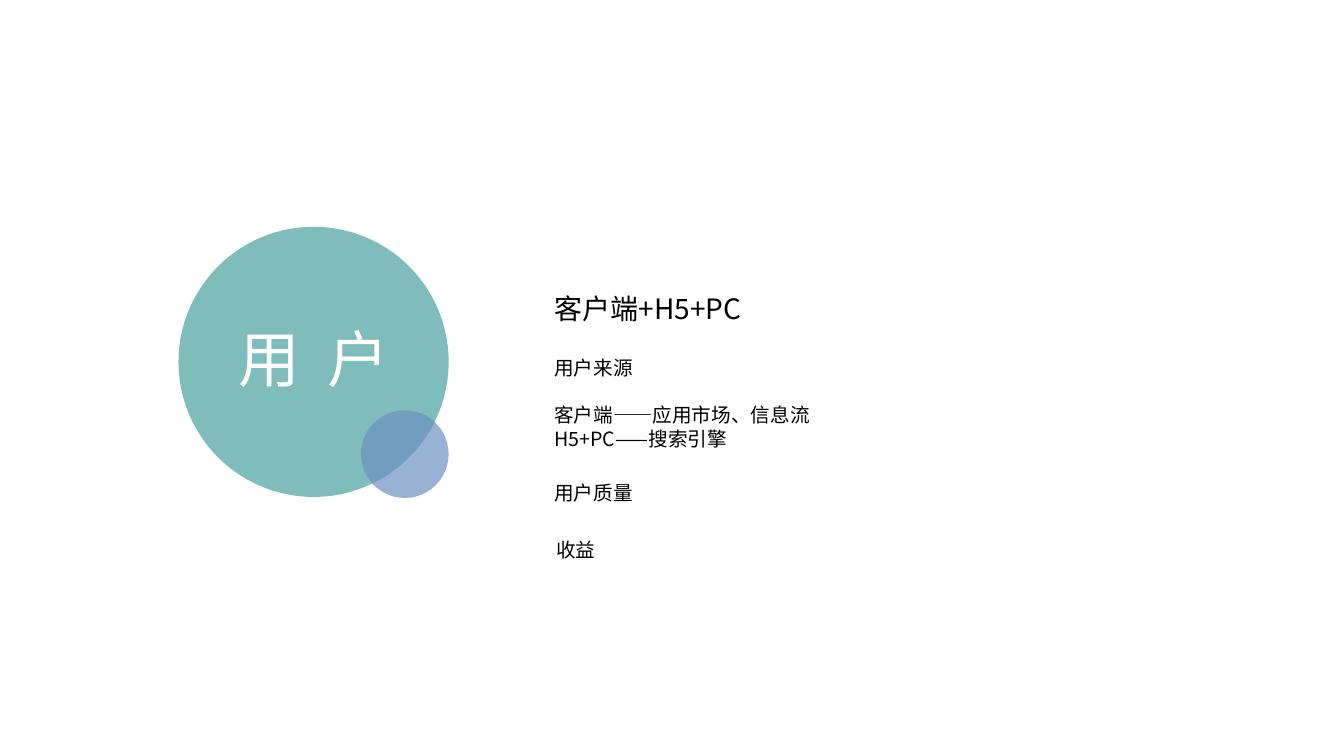
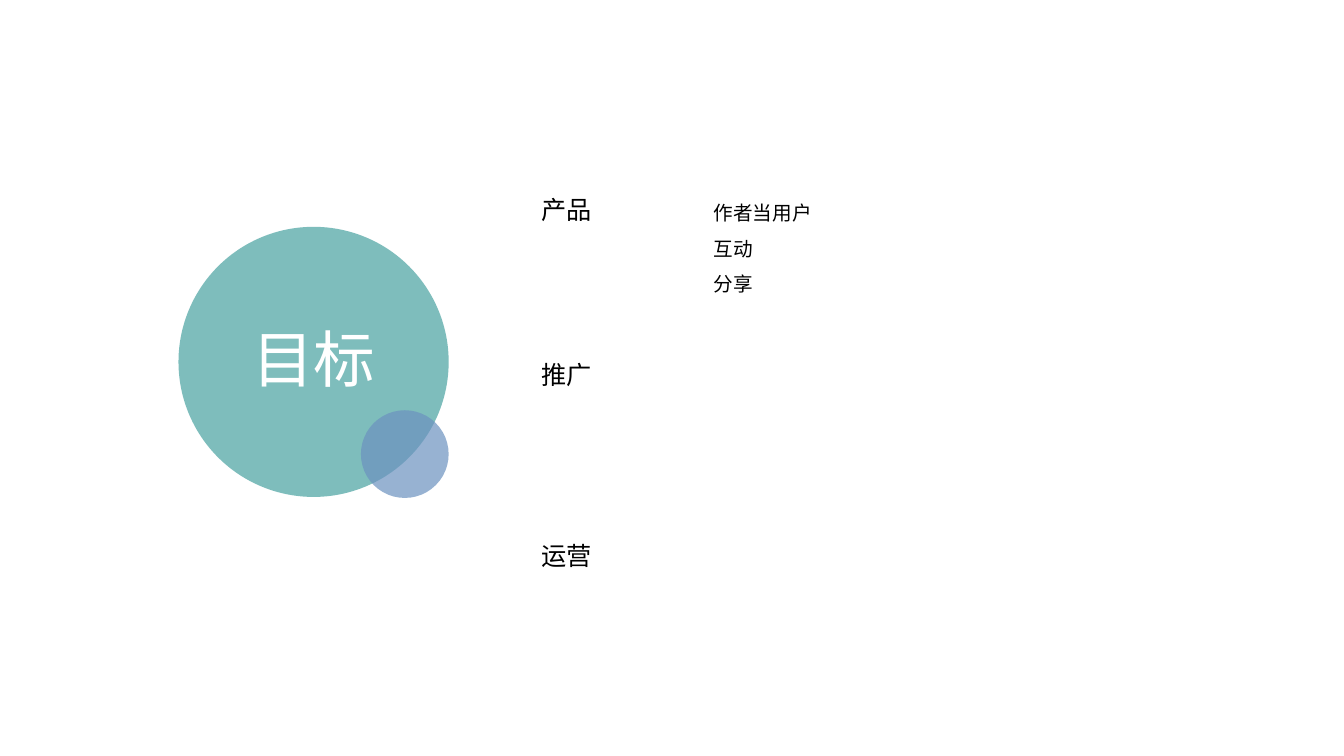
from lxml.etree import SubElement
from pptx import Presentation
from pptx.dml.color import RGBColor
from pptx.enum.shapes import MSO_SHAPE as Shape
from pptx.enum.text import MSO_ANCHOR as Anchor, MSO_AUTO_SIZE as AutoSize, PP_ALIGN as Align
from pptx.oxml.ns import qn
from pptx.util import Inches, Pt


def color(value):
    return RGBColor.from_string(value)


class TopicDeck:
    FONT = "Noto Sans CJK SC"
    TEAL, BLUE, WHITE, BLACK = "48A2A0", "6C92C0", "FFFFFF", "000000"
    OPACITY = 70
    TITLE_SIZE, BODY_SIZE = 44, 14

    def __init__(self):
        self.deck = Presentation()
        self.deck.slide_width = Inches(13.33)
        self.deck.slide_height = Inches(7.5)
        self.slide = None

    def add_topic(self, title):
        self.slide = self.deck.slides.add_slide(self.deck.slide_layouts[6])
        self.circle(1.77, 2.25, 2.68, self.TEAL)
        self.circle(3.58, 4.07, 0.87, self.BLUE)
        self.text([title], 0.95, 3.13, 4.33, 0.93, self.TITLE_SIZE,
                  self.WHITE, grow=False, alignment=Align.CENTER)

    def circle(self, left, top, diameter, fill):
        circle = self.slide.shapes.add_shape(
            Shape.OVAL, Inches(left), Inches(top), Inches(diameter), Inches(diameter))
        circle.shadow.inherit = False
        circle.line.fill.background()
        circle.fill.solid()
        circle.fill.fore_color.rgb = color(fill)
        tint = circle.fill._xPr.find(qn("a:solidFill"))[0]
        SubElement(tint, qn("a:alpha"), val=str(self.OPACITY * 1000))

    def text(self, lines, left, top, width, height, size=BODY_SIZE, ink=BLACK,
             wrap=True, grow=True, gaps=None, **paragraph_format):
        box = self.slide.shapes.add_textbox(
            Inches(left), Inches(top), Inches(width), Inches(height))
        frame = box.text_frame
        frame.word_wrap = wrap
        frame.vertical_anchor = Anchor.TOP
        frame.auto_size = AutoSize.SHAPE_TO_FIT_TEXT if grow else AutoSize.NONE
        for index, line in enumerate(lines):
            para = frame.add_paragraph() if index else frame.paragraphs[0]
            for name, value in paragraph_format.items():
                setattr(para, name, value)
            if gaps and index in gaps:
                para.space_before = Pt(gaps[index])
            span = para.add_run()
            span.text = line
            for name, value in {"name": self.FONT, "size": Pt(size)}.items():
                setattr(span.font, name, value)
            span.font.color.rgb = color(ink)

    def save(self):
        self.deck.save("out.pptx")


def build_users(topics):
    topics.add_topic("用  户")
    topics.text(["客户端+H5+PC"], 5.4, 2.84, 2.2, 0.44, size=20, wrap=False)
    topics.text(["用户来源", "客户端——应用市场、信息流", "H5+PC——搜索引擎"],
                5.4, 3.48, 6.67, 1.04, gaps={1: 17})
    topics.text(["用户质量"], 5.4, 4.72, 6.67, 0.57)
    topics.text(["收益"], 5.42, 5.29, 6.67, 0.57)


def build_goals(topics):
    topics.add_topic("目标")
    for heading, top in {"产品": 1.88, "推广": 3.52, "运营": 5.31}.items():
        topics.text([heading], 5.27, top, 0.71, 0.4, size=18, wrap=False)
    topics.text(["作者当用户", "互动", "分享"], 6.98, 1.83, 1.18, 1.51,
                wrap=False, line_spacing=1.5)


def main():
    topics = TopicDeck()
    build_users(topics)
    build_goals(topics)
    topics.save()


if __name__ == "__main__":
    main()
